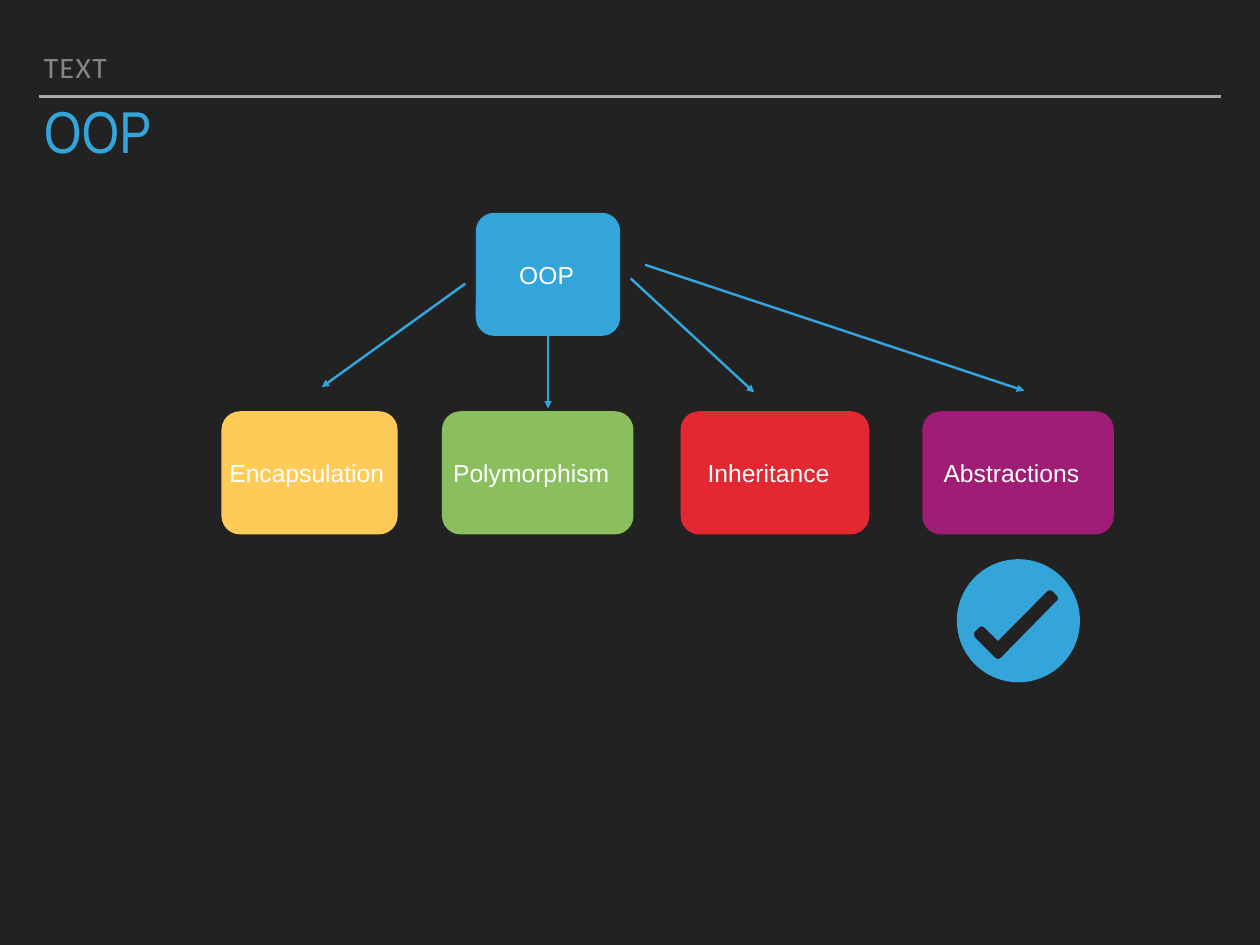
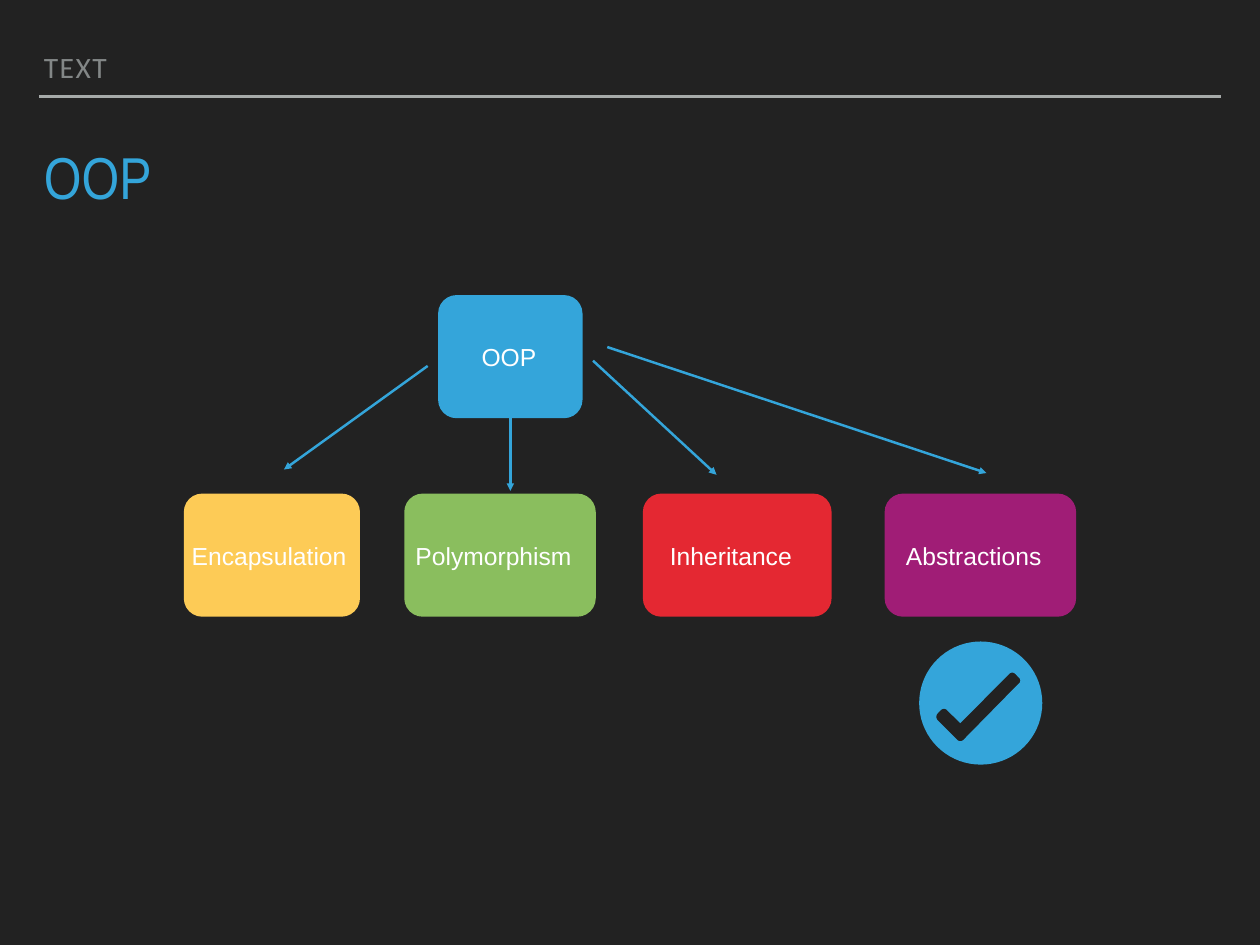
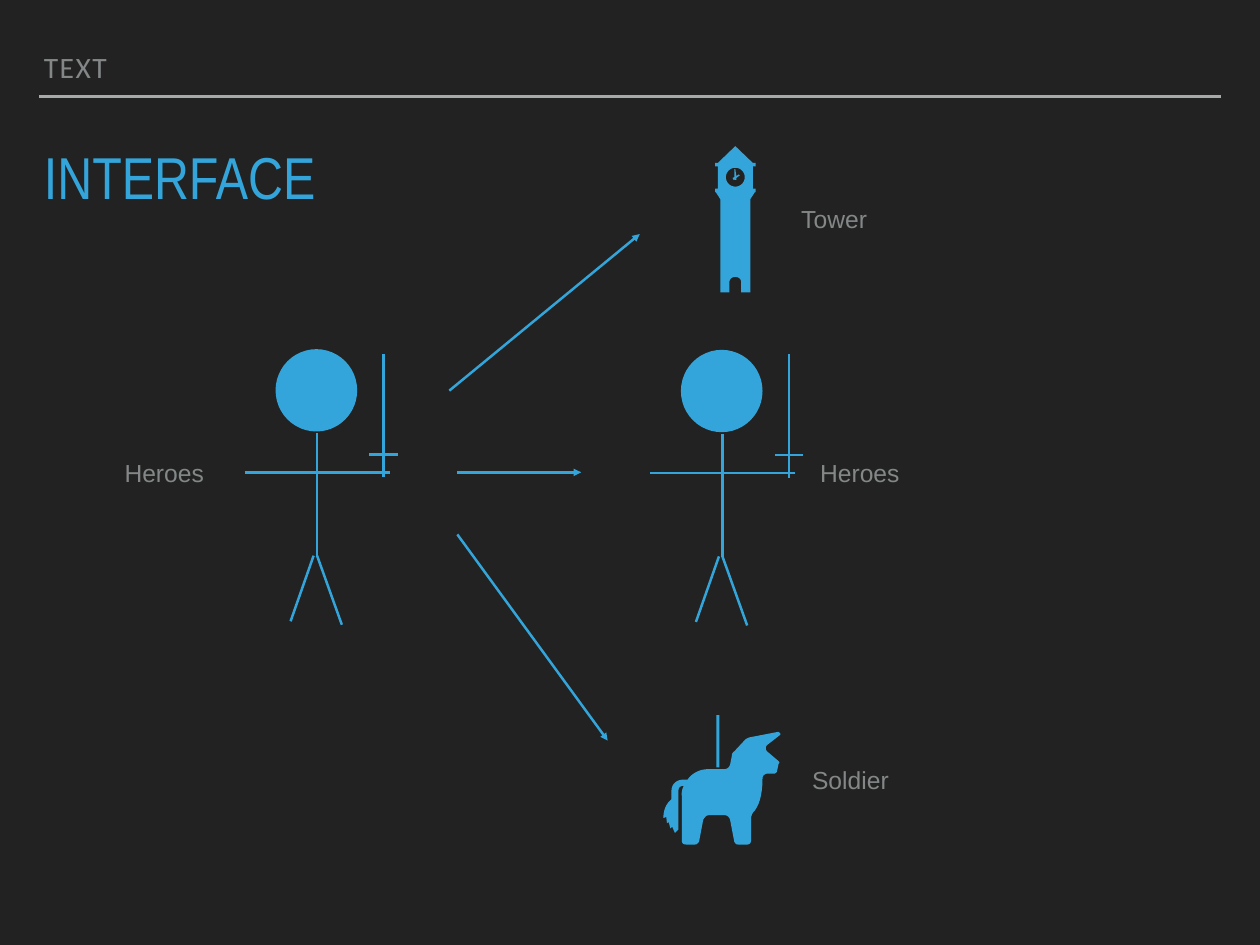
from dataclasses import dataclass
from math import cos, pi, sin

from pptx import Presentation
from pptx.dml.color import RGBColor
from pptx.enum.shapes import MSO_CONNECTOR, MSO_SHAPE
from pptx.enum.text import MSO_ANCHOR
from pptx.oxml.ns import qn
from pptx.shapes.connector import Connector
from pptx.slide import Slide
from pptx.util import Cm, Pt
from lxml import etree

STRAIGHT = MSO_CONNECTOR.STRAIGHT
ROUND = MSO_SHAPE.ROUNDED_RECTANGLE
OVAL = MSO_SHAPE.OVAL
TOP, MIDDLE, BOTTOM = MSO_ANCHOR.TOP, MSO_ANCHOR.MIDDLE, MSO_ANCHOR.BOTTOM


@dataclass(frozen=True)
class Style:
    font: str
    size: int
    color: str
    lead: float = 1.0
    track: int = 0


@dataclass(frozen=True)
class Theme:
    back: str = "222222"
    blue: str = "34A5DA"
    rule: str = "A6AAA9"
    yellow: str = "FDCB56"
    green: str = "8ABE5E"
    red: str = "E42832"
    purple: str = "A01D76"
    head: Style = Style("Calibri", 24, "838787", 0.8, 120)
    title: Style = Style("Arial Narrow", 48, "34A5DA", 0.8)
    label: Style = Style("Arial", 20, "FFFFFF")
    note: Style = Style("Arial", 20, "838787")
    stroke: float = 2
    inset: float = 0.14
    line: float = 1.24


THEME = Theme()


@dataclass(frozen=True)
class Card:
    text: str
    left: float
    top: float
    width: float
    label: float
    fill: str


@dataclass(frozen=True)
class Seg:
    x1: float
    y1: float
    x2: float
    y2: float


@dataclass(frozen=True)
class Note:
    text: str
    left: float
    top: float
    width: float


Point = tuple[float, float]

# Tree diagram
CARD_H = 3.53
ROOT = Card("OOP", 13.64, 6.1, 4.14, 1.93, THEME.blue)
CARDS = [
    Card("Encapsulation", 6.35, 11.79, 5.05, 4.88, THEME.yellow),
    Card("Polymorphism", 12.67, 11.79, 5.49, 5.13, THEME.green),
    Card("Inheritance", 19.51, 11.79, 5.41, 4.14, THEME.red),
    Card("Abstractions", 26.44, 11.79, 5.49, 4.55, THEME.purple),
]
STEM = Seg(15.71, 9.63, 15.71, 11.71)
LIMBS = [
    Seg(13.34, 8.13, 9.22, 11.1),
    Seg(18.08, 7.98, 21.62, 11.25),
    Seg(18.49, 7.59, 29.36, 11.2),
]

# Stick figure, measured from the corner of its head
FIGURE = [
    Seg(1.19, 5.94, 1.19, 2.41),
    Seg(-0.89, 3.53, 3.28, 3.53),
    Seg(0.43, 7.8, 1.09, 5.92),
    Seg(1.9, 7.9, 1.19, 5.92),
    Seg(3.1, 3.66, 3.1, 0.13),
    Seg(2.69, 3.02, 3.51, 3.02),
]
PATHS = [
    Seg(13.11, 13.54, 16.66, 13.54),
    Seg(12.88, 11.2, 18.34, 6.71),
    Seg(13.11, 15.32, 17.42, 21.23),
]
NOTES = [
    Note("Tower", 22.83, 5.66, 2.29),
    Note("Soldier", 23.14, 21.74, 2.62),
    Note("Heroes", 23.37, 12.93, 2.62),
    Note("Heroes", 3.43, 12.93, 2.62),
]

# Outlines: two numbers draw a line, six draw a curve
TICK = [
    (2.67, 0.89), (2.69, 0.89, 2.74, 0.91, 2.77, 0.94),
    (2.84, 1.02), (2.92, 1.07, 2.92, 1.17, 2.84, 1.22),
    (1.27, 2.82), (1.22, 2.87, 1.14, 2.87, 1.09, 2.82),
    (0.53, 2.26), (0.48, 2.21, 0.48, 2.11, 0.53, 2.06),
    (0.61, 1.98), (0.66, 1.91, 0.76, 1.91, 0.81, 1.98),
    (1.18, 2.34), (2.57, 0.94), (2.59, 0.91, 2.64, 0.89, 2.67, 0.89),
]
WALL = [
    (0, 0), (0.5, 0.48), (0.58, 0.48), (0.58, 0.58), (0.5, 0.58),
    (0.5, 1.22), (0.58, 1.22), (0.58, 1.32), (0.56, 1.32), (0.43, 1.52),
    (0.43, 4.19), (0.17, 4.19), (0.17, 3.91),
    (0.17, 3.81, 0.1, 3.75, 0, 3.75),
]
HANDS = [
    (0, 0.66), (-0.03, 0.66), (-0.03, 0.89), (-0.08, 0.91), (-0.05, 0.97),
    (-0.03, 0.94), (-0.03, 0.97), (0.03, 0.97), (0.03, 0.91),
    (0.13, 0.84), (0.1, 0.81), (0.03, 0.86),
]
LANCE = [(1.52, 0), (1.52, 1.5), (1.6, 1.5), (1.6, 0)]
HORSE = [
    # Head and back
    (3.29, 0.48), (2.46, 0.64), (2.41, 0.66, 2.34, 0.69, 2.31, 0.74),
    (2.03, 1.04), (1.98, 1.07, 1.96, 1.12, 1.96, 1.17),
    (1.91, 1.42), (1.88, 1.5, 1.83, 1.55, 1.73, 1.55),
    (1.27, 1.55), (1.02, 1.55, 0.81, 1.68, 0.69, 1.85),
    # Tail
    (0.56, 1.85), (0.38, 1.85, 0.23, 1.98, 0.23, 2.16),
    (0.23, 2.41), (-0.03, 2.62, 0, 2.95, 0, 2.95),
    (0.08, 2.92), (0.1, 3.1), (0.15, 3.07), (0.2, 3.25), (0.25, 3.2),
    (0.33, 3.38), (0.43, 3.28), (0.43, 2.16),
    (0.43, 2.08, 0.48, 2.03, 0.56, 2.03),
    # Legs
    (0.58, 2.03), (0.53, 2.13, 0.51, 2.24, 0.53, 2.34),
    (0.53, 3.61), (0.53, 3.66, 0.56, 3.71, 0.64, 3.71),
    (0.91, 3.71), (0.97, 3.71, 0.99, 3.66, 1.02, 3.63),
    (1.14, 3), (1.17, 2.95, 1.22, 2.87, 1.3, 2.87),
    (1.75, 2.87), (1.83, 2.87, 1.88, 2.92, 1.91, 3),
    (2.03, 3.63), (2.06, 3.68, 2.08, 3.71, 2.13, 3.71),
    (2.41, 3.71), (2.46, 3.71, 2.51, 3.66, 2.51, 3.61),
    # Chest and muzzle
    (2.51, 2.97), (2.51, 2.9, 2.54, 2.84, 2.57, 2.79),
    (2.72, 2.64, 2.84, 2.34, 2.84, 1.8),
    (2.84, 1.73, 2.92, 1.68, 2.97, 1.68),
    (3.18, 1.68), (3.2, 1.68, 3.23, 1.65, 3.25, 1.63),
    (3.3, 1.4), (3.33, 1.37, 3.33, 1.35, 3.3, 1.32),
    (2.97, 1.04), (2.92, 0.99, 2.92, 0.91, 2.97, 0.86),
    (3.33, 0.58), (3.38, 0.56, 3.35, 0.51, 3.29, 0.48),
]


# Geometry
def trace(steps: list[tuple[float, ...]], count: int = 8) -> list[Point]:
    """Turn lines and cubic curves into a list of points."""
    dots: list[Point] = []
    for step in steps:
        if len(step) == 2:
            dots.append((step[0], step[1]))
            continue
        ends = [dots[-1], step[:2], step[2:4], step[4:]]
        for i in range(1, count + 1):
            t = i / count
            mix = ((1 - t) ** 3, 3 * t * (1 - t) ** 2,
                   3 * t * t * (1 - t), t ** 3)
            dots.append((sum(m * e[0] for m, e in zip(mix, ends)),
                         sum(m * e[1] for m, e in zip(mix, ends))))
    return dots


def ring(x: float, y: float, r: float, count: int = 72) -> list[Point]:
    turns = [2 * pi * i / count for i in range(count)]
    return [(x + r * cos(t), y + r * sin(t)) for t in turns]


def mirror(half: list[Point]) -> list[Point]:
    return half + [(-x, y) for x, y in reversed(half)]


# Drawing
def paint(shape, color: str) -> None:
    shape.shadow.inherit = False
    shape.fill.solid()
    shape.fill.fore_color.rgb = RGBColor.from_string(color)
    shape.line.fill.background()


def block(slide: Slide, kind, x: float, y: float, w: float, h: float,
          color: str):
    shape = slide.shapes.add_shape(kind, Cm(x), Cm(y), Cm(w), Cm(h))
    paint(shape, color)
    return shape


def outline(slide: Slide, x: float, y: float, loops: list[list[Point]]) -> None:
    """Fill closed loops; a loop inside another one cuts a hole."""
    fine = [[(px * 1000, py * 1000) for px, py in loop] for loop in loops]
    pen = slide.shapes.build_freeform(*fine[0][0], scale=Cm(0.001))
    for i, loop in enumerate(fine):
        if i:
            pen.move_to(*loop[0])
        pen.add_line_segments(loop[1:], close=True)
    paint(pen.convert_to_shape(Cm(x), Cm(y)), THEME.blue)


def stroke(slide: Slide, seg: Seg, color: str = THEME.blue,
           arrow: bool = False, dx: float = 0, dy: float = 0) -> Connector:
    line = slide.shapes.add_connector(
        STRAIGHT, Cm(seg.x1 + dx), Cm(seg.y1 + dy),
        Cm(seg.x2 + dx), Cm(seg.y2 + dy))
    line.line.color.rgb = RGBColor.from_string(color)
    line.line.width = Pt(THEME.stroke)
    props = line._element.spPr
    if arrow:
        etree.SubElement(props.find(qn("a:ln")), qn("a:tailEnd"),
                         type="triangle")
    etree.SubElement(props, qn("a:effectLst"))
    return line


def write(slide: Slide, text: str, x: float, y: float, w: float, h: float,
          style: Style, anchor=MIDDLE) -> None:
    frame = slide.shapes.add_textbox(Cm(x), Cm(y), Cm(w), Cm(h)).text_frame
    frame.word_wrap = True
    frame.vertical_anchor = anchor
    frame.margin_left = frame.margin_right = Cm(THEME.inset)
    frame.margin_top = frame.margin_bottom = Cm(THEME.inset)
    para = frame.paragraphs[0]
    para.text = text
    para.line_spacing = style.lead
    font = para.font
    font.name = style.font
    font.size = Pt(style.size)
    font.color.rgb = RGBColor.from_string(style.color)
    if style.track:
        font._element.set("spc", str(style.track))


# Parts of the slides
def start(deck, title: str, top: float) -> Slide:
    slide = deck.slides.add_slide(deck.slide_layouts[6])
    stroke(slide, Seg(1.12, 2.77, 35, 2.77), THEME.rule)
    write(slide, "TEXT", 1.12, 1.27, 31.04, 1.27, THEME.head, BOTTOM)
    write(slide, title, 1.12, top, 33.86, 2.01, THEME.title, TOP)
    return slide


def place(slide: Slide, card: Card, dx: float, dy: float):
    x, y = card.left + dx, card.top + dy
    shape = block(slide, ROUND, x, y, card.width, CARD_H, card.fill)
    shape.adjustments[0] = 0.15
    write(slide, card.text, x + (card.width - card.label) / 2,
          y + (CARD_H - THEME.line) / 2, card.label, THEME.line, THEME.label)
    return shape


def tree(slide: Slide, dx: float = 0, dy: float = 0) -> None:
    for card in CARDS:
        place(slide, card, dx, dy)
    root = place(slide, ROOT, dx, dy)
    stem = stroke(slide, STEM, arrow=True, dx=dx, dy=dy)
    stem.begin_connect(root, 2)
    for limb in LIMBS:
        stroke(slide, limb, arrow=True, dx=dx, dy=dy)
    half = CARD_H / 2
    outline(slide, 27.43 + dx, 16.03 + dy,
            [ring(half, half, half), trace(TICK)])


def hero(slide: Slide, x: float, y: float) -> None:
    block(slide, OVAL, x, y, 2.34, 2.36, THEME.blue)
    for seg in FIGURE:
        stroke(slide, seg, dx=x, dy=y)


def scene(slide: Slide) -> None:
    hero(slide, 7.9, 10.01)
    hero(slide, 19.52, 10.03)
    for seg in PATHS:
        stroke(slide, seg, arrow=True)
    outline(slide, 21.08, 4.19,
            [mirror(trace(WALL)), ring(0, 0.89, 0.27), HANDS])
    outline(slide, 19.02, 20.5, [LANCE, trace(HORSE)])
    for note in NOTES:
        write(slide, note.text, note.left, note.top, note.width, THEME.line,
              THEME.note)


def main() -> None:
    deck = Presentation()
    deck.slide_width, deck.slide_height = Cm(36.12), Cm(27.09)
    back = deck.slide_master.background.fill
    back.solid()
    back.fore_color.rgb = RGBColor.from_string(THEME.back)

    tree(start(deck, "OOP", 2.97))
    tree(start(deck, "OOP", 4.27), -1.08, 2.36)
    scene(start(deck, "INTERFACE", 4.27))
    deck.save("out.pptx")


if __name__ == "__main__":
    main()
